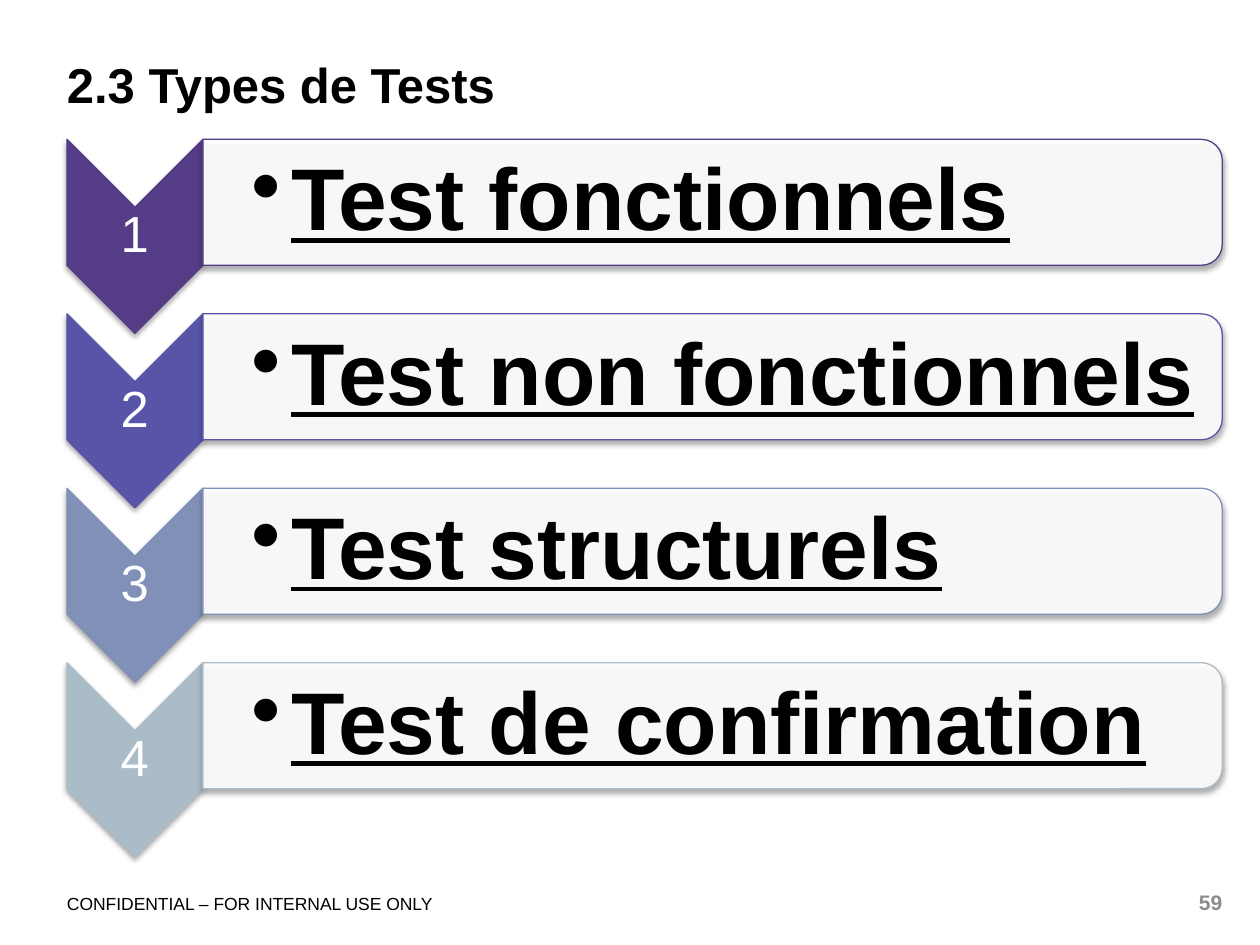
from dataclasses import dataclass

from lxml import etree
from pptx import Presentation
from pptx import util as u
from pptx.dml.color import RGBColor
from pptx.enum import shapes, text
from pptx.oxml import parse_xml
from pptx.oxml.ns import nsdecls, qn


@dataclass(frozen=True)
class Theme:
    font: str = "Arial"
    ink: str = "000000"
    paper: str = "FFFFFF"
    muted: str = "8C8C8C"
    steps: tuple = ("543C86", "5855A8", "8190B7", "ABBCC9")
    title: int = 28
    step: int = 50
    number: int = 29
    footer: int = 10
    page: int = 12


THEME = Theme()
SHADOW = (
    f'<a:effectLst {nsdecls("a")}><a:outerShdw blurRad="39400" dist="22900" '
    'dir="5400000" rotWithShape="0"><a:srgbClr val="000000">'
    '<a:alpha val="35000"/></a:srgbClr></a:outerShdw></a:effectLst>'
)


def add_text(parent, box, words, size, color=THEME.ink, bold=False, underline=False,
             align=text.PP_ALIGN.LEFT, anchor=text.MSO_ANCHOR.TOP,
             margin=0, margin_left=None, spacing=1.0):
    """Place one line of text in box (cm) and return its paragraph."""
    sp = parent.add_textbox(*map(u.Cm, box))
    tf = sp.text_frame
    left = margin if margin_left is None else margin_left
    frame = dict(word_wrap=True, vertical_anchor=anchor, margin_left=u.Cm(left),
                 margin_top=u.Cm(margin), margin_right=u.Cm(margin),
                 margin_bottom=u.Cm(margin))
    for name, value in frame.items():
        setattr(tf, name, value)
    p = tf.paragraphs[0]
    p.alignment, p.line_spacing = align, spacing
    r = p.add_run()
    r.text = words
    for name, value in dict(name=THEME.font, size=u.Pt(size), bold=bold,
                            underline=underline).items():
        setattr(r.font, name, value)
    r.font.color.rgb = RGBColor.from_string(color)
    return p


def add_upright(parent, kind, box, fill, line):
    """Add a shape turned by 90 degrees so that it fills box (cm) as seen."""
    x, y, w, h = box
    shift = (w - h) / 2
    sp = parent.add_shape(kind, *map(u.Cm, (x + shift, y - shift, h, w)))
    sp.rotation = 90
    sp.fill.solid()
    sp.fill.fore_color.rgb = RGBColor.from_string(fill)
    sp.line.color.rgb = RGBColor.from_string(line)
    sp.line.width = u.Pt(0.75)
    sp._element.spPr.append(parse_xml(SHADOW))
    return sp


def add_bullet(p, indent):
    pPr = p._p.get_or_add_pPr()
    pPr.set("marL", str(u.Cm(indent)))
    pPr.set("indent", str(-u.Cm(indent)))
    etree.SubElement(pPr, qn("a:buChar")).set("char", "•")


def add_step(parent, box, number, words, color):
    x, y, w, h = box
    chevron_w, panel_h, inset = 2.74, 2.54, 0.12
    panel_w = w - chevron_w
    middle = text.MSO_ANCHOR.MIDDLE

    add_upright(parent, shapes.MSO_SHAPE.CHEVRON, (x, y, chevron_w, h), color, color)
    add_text(parent, (x, y + chevron_w / 2, chevron_w, h - chevron_w), str(number),
             THEME.number, THEME.paper, align=text.PP_ALIGN.CENTER, anchor=middle,
             margin=0.05, spacing=0.9)

    panel = add_upright(parent, shapes.MSO_SHAPE.ROUND_2_SAME_RECTANGLE,
                        (x + chevron_w, y, panel_w, panel_h), THEME.paper, color)
    fill = panel._element.spPr.find(qn("a:solidFill"))
    etree.SubElement(fill[0], qn("a:alpha")).set("val", "90000")
    p = add_text(parent, (x + chevron_w, y + inset, panel_w - inset, panel_h - 2 * inset),
                 words, THEME.step, bold=True, underline=True, anchor=middle,
                 margin=0.08, margin_left=0.99, spacing=0.9)
    add_bullet(p, 0.79)


def add_steps(s, box, steps):
    x, y, w, h = box
    step_h = 3.91
    pitch = (h - step_h) / (len(steps) - 1)
    group = s.shapes.add_group_shape().shapes
    for i, (words, color) in enumerate(zip(steps, THEME.steps)):
        add_step(group, (x, y + i * pitch, w, step_h), i + 1, words, color)


def add_title(s, box, words):
    add_text(s.shapes, box, words, THEME.title, bold=True, anchor=text.MSO_ANCHOR.MIDDLE)


def add_footer(s, box, notice, page):
    x, y, w, h = box
    page_w = 1
    add_text(s.shapes, (x, y + 0.08, w / 2, h), notice, THEME.footer)
    add_text(s.shapes, (x + w - page_w, y, page_w, h), page, THEME.page, THEME.muted,
             bold=True, align=text.PP_ALIGN.RIGHT)


def main():
    prs = Presentation()
    prs.slide_width, prs.slide_height = u.Cm(25.4), u.Cm(19.05)
    s = prs.slides.add_slide(prs.slide_layouts[6])
    left, width = 1.35, 23.29
    add_title(s, (left, 0.94, width, 1.5), "2.3 Types de Tests")
    add_steps(s, (left, 2.81, width, 14.46),
              ("Test fonctionnels", "Test non fonctionnels",
               "Test structurels", "Test de confirmation"))
    add_footer(s, (left, 17.93, width, 0.5), "CONFIDENTIAL – FOR INTERNAL USE ONLY", "59")
    prs.save("out.pptx")


if __name__ == "__main__":
    main()
